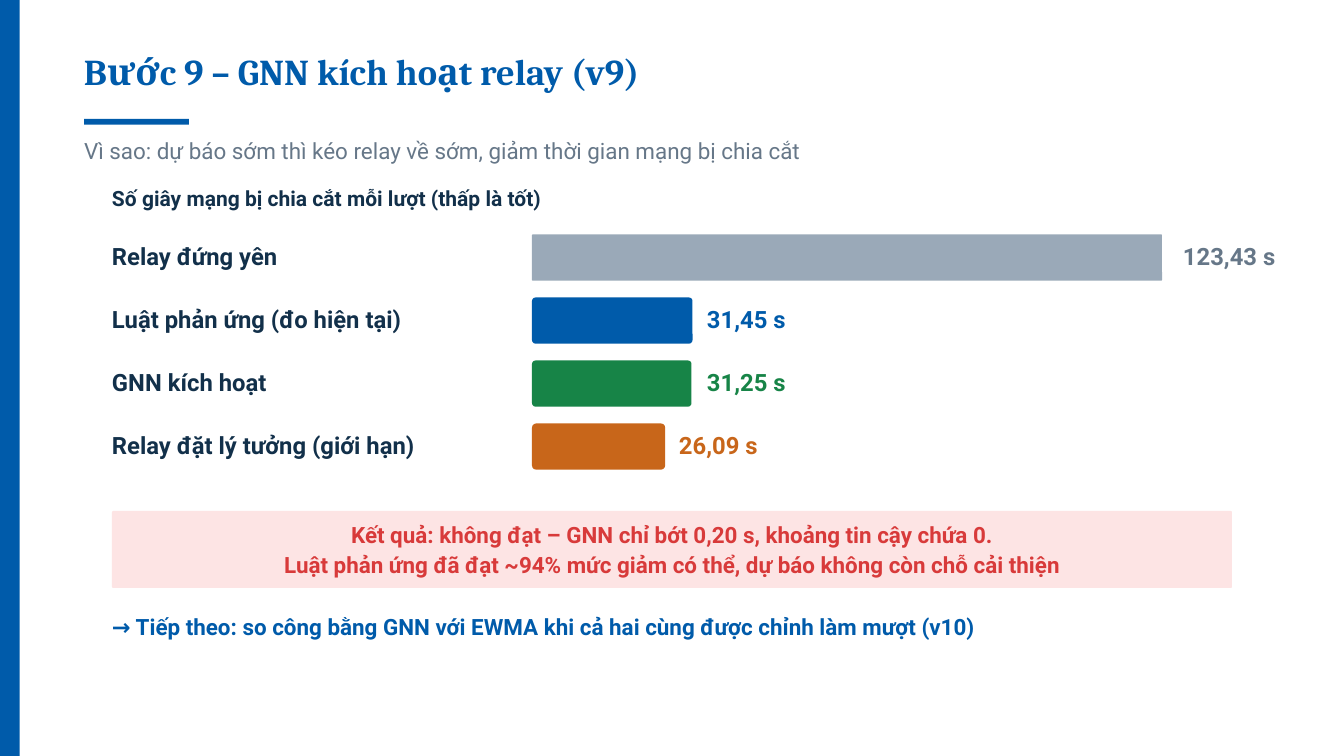
from pptx import Presentation
from pptx.dml.color import RGBColor
from pptx.enum.shapes import MSO_SHAPE as Shape
from pptx.enum.text import MSO_ANCHOR as Anchor, PP_ALIGN as Align
from pptx.util import Emu, Pt

BLUE, NAVY, GRAY = "005BAA", "12304A", "667788"
RED, PINK = "D83A3A", "FDE4E4"

TITLE = "Bước 9 – GNN kích hoạt relay (v9)"
REASON = "Vì sao: dự báo sớm thì kéo relay về sớm, giảm thời gian mạng bị chia cắt"
HEADING = "Số giây mạng bị chia cắt mỗi lượt (thấp là tốt)"
RESULT = (
    "Kết quả: không đạt – GNN chỉ bớt 0,20 s, khoảng tin cậy chứa 0.\n"
    "Luật phản ứng đã đạt ~94% mức giảm có thể, dự báo không còn chỗ cải thiện"
)
NEXT_STEP = "→ Tiếp theo: so công bằng GNN với EWMA khi cả hai cùng được chỉnh làm mượt (v10)"

# label, seconds, bar colour, value colour, value left, corner radius
BARS = [
    ("Relay đứng yên", 123.43, "9AA9B8", GRAY, 1690, 1),
    ("Luật phản ứng (đo hiện tại)", 31.45, BLUE, BLUE, 1010, 5),
    ("GNN kích hoạt", 31.25, "178447", "178447", 1010, 5),
    ("Relay đặt lý tưởng (giới hạn)", 26.09, "C8661A", "C8661A", 970, 6),
]
BAR_LEFT, BAR_TOP, BAR_HEIGHT, BAR_PITCH, BAR_MAX = 760, 335, 66, 90, 900
LABEL_LEFT, LABEL_OFFSET = 160, 4


def px(value):
    return Emu(round(value * 9525))


def colour(value):
    return RGBColor.from_string(value)


def write(shape, text, size, spacing, ink, bold=True, font="Roboto", align=Align.LEFT, insets=(0, 0, 0, 0)):
    frame = shape.text_frame
    frame.word_wrap = True
    frame.margin_left, frame.margin_top, frame.margin_right, frame.margin_bottom = map(px, insets)
    frame.text = text
    for paragraph in frame.paragraphs:
        paragraph.alignment = align
        paragraph.line_spacing = Pt(spacing)
        for run in paragraph.runs:
            run.font.name = font
            run.font.size = Pt(size)
            run.font.bold = bold
            run.font.color.rgb = colour(ink)


def add_text(slide, box, *content, **style):
    write(slide.shapes.add_textbox(*map(px, box)), *content, **style)


def add_block(slide, box, fill, radius=0):
    kind = Shape.ROUNDED_RECTANGLE if radius else Shape.RECTANGLE
    shape = slide.shapes.add_shape(kind, *map(px, box))
    if radius:
        shape.adjustments[0] = radius / min(box[2:])
    shape.shadow.inherit = False
    shape.fill.solid()
    shape.fill.fore_color.rgb = colour(fill)
    shape.line.fill.background()
    return shape


def add_bars(slide):
    longest = max(seconds for _, seconds, *_ in BARS)
    for row, (label, seconds, fill, ink, value_left, radius) in enumerate(BARS):
        top = BAR_TOP + row * BAR_PITCH
        text_top = top + LABEL_OFFSET
        value = f"{seconds:.2f} s".replace(".", ",")
        add_block(slide, (BAR_LEFT, top, BAR_MAX * seconds / longest, BAR_HEIGHT), fill, radius)
        add_text(slide, (LABEL_LEFT, text_top, 580, 46), label, 25.5, 35.7, NAVY)
        add_text(slide, (value_left, text_top, 200, 46), value, 25.5, 35.7, ink)


def main():
    """Build the relay activation slide and save it."""
    presentation = Presentation()
    presentation.slide_width, presentation.slide_height = px(1920), px(1080)
    slide = presentation.slides.add_slide(presentation.slide_layouts[6])

    add_block(slide, (0, 0, 28, 1080), BLUE)
    add_text(slide, (120, 75, 1400, 60), TITLE, 39, 43.7, BLUE, font="Cambria")
    add_block(slide, (120, 170, 150, 8), BLUE)
    add_text(slide, (120, 189, 1600, 43), REASON, 24, 33.6, GRAY, bold=False)
    add_text(slide, (LABEL_LEFT, 259, 1600, 42), HEADING, 22.5, 31.5, NAVY)
    add_bars(slide)

    result = add_block(slide, (LABEL_LEFT, 730, 1600, 110), PINK, 2)
    write(result, RESULT, 24, 31.2, RED, align=Align.CENTER, insets=(6, 6, 6, 9))
    result.text_frame.vertical_anchor = Anchor.MIDDLE
    add_text(slide, (LABEL_LEFT, 869, 1600, 43), NEXT_STEP, 24, 33.6, BLUE)

    presentation.save("out.pptx")


if __name__ == "__main__":
    main()
